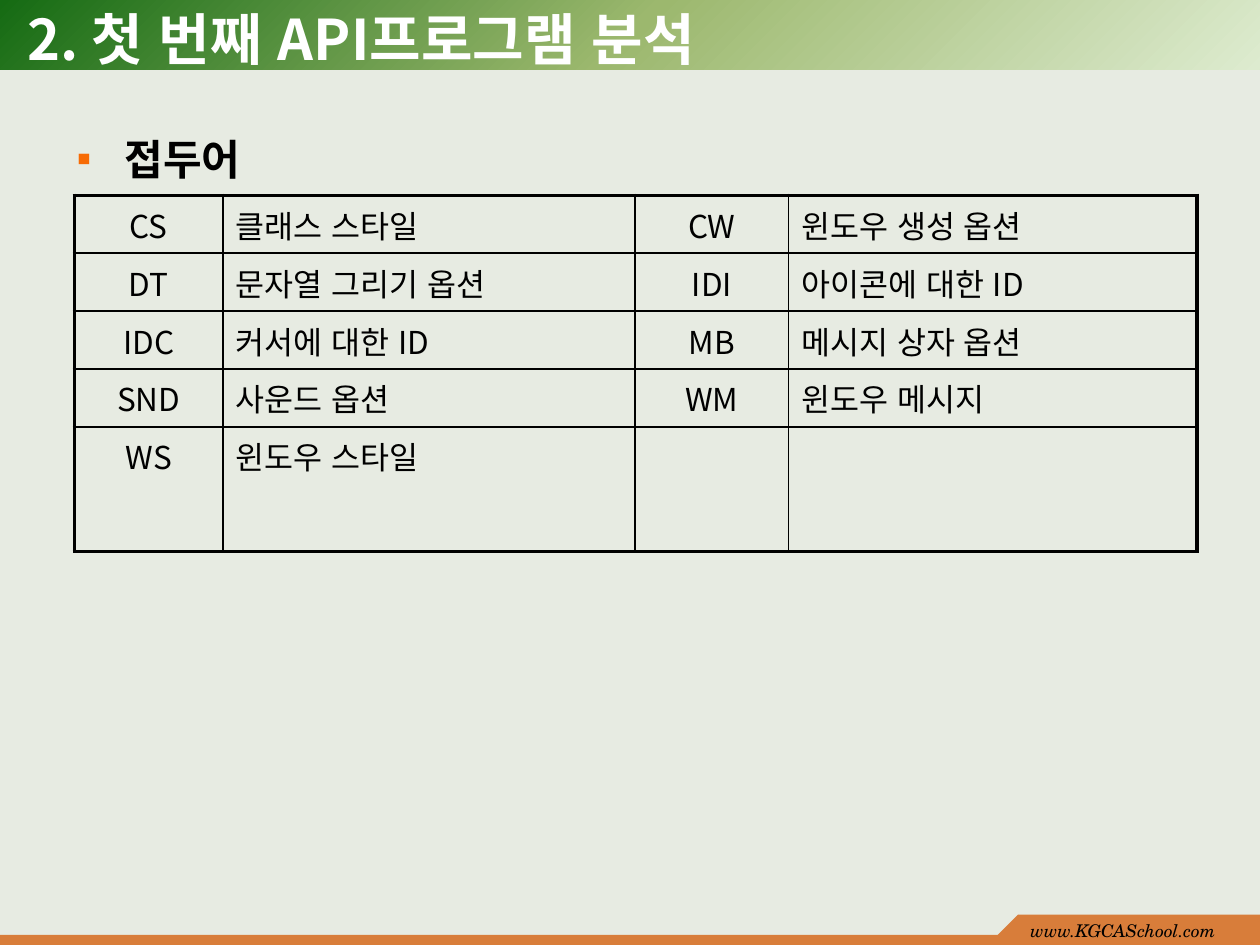
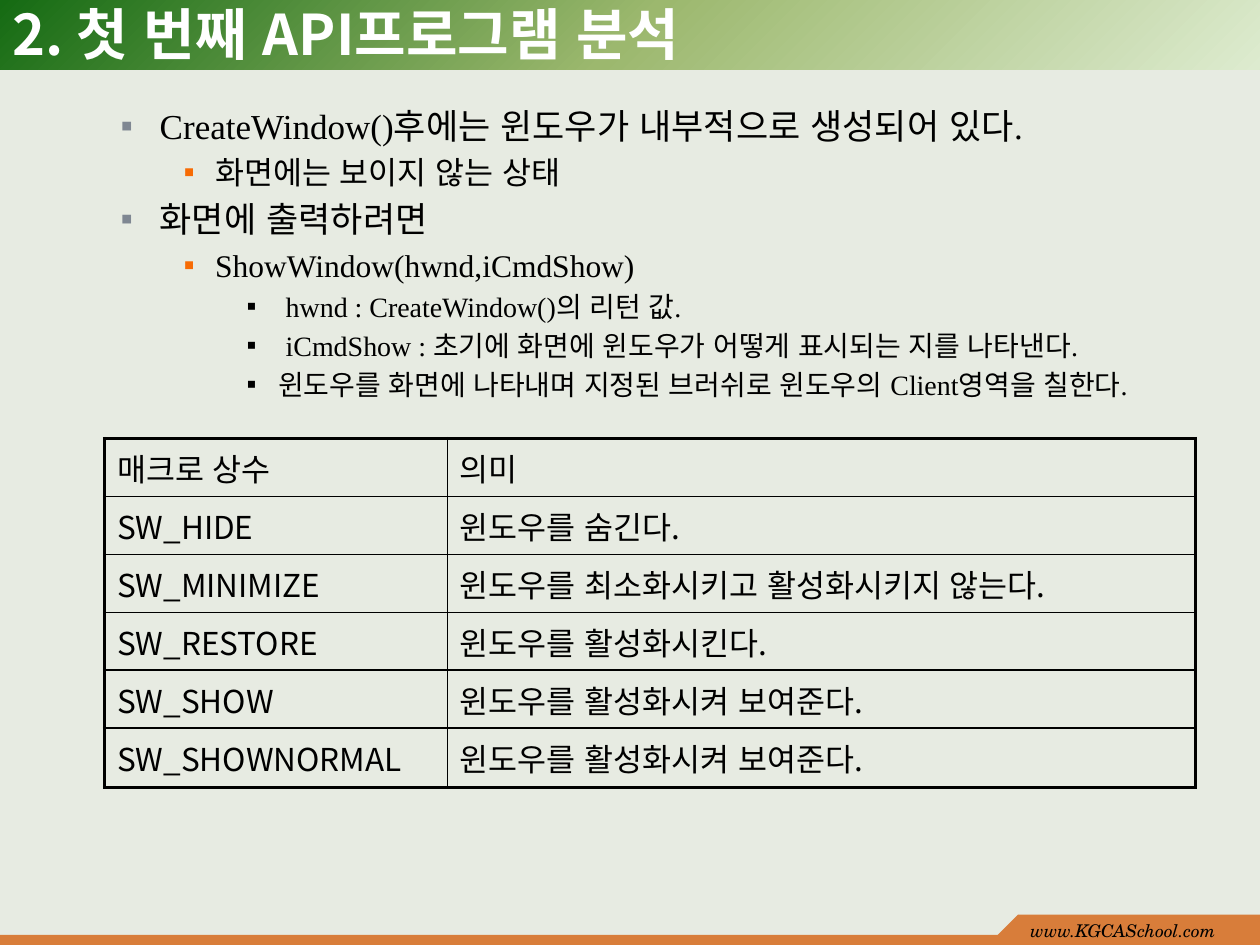
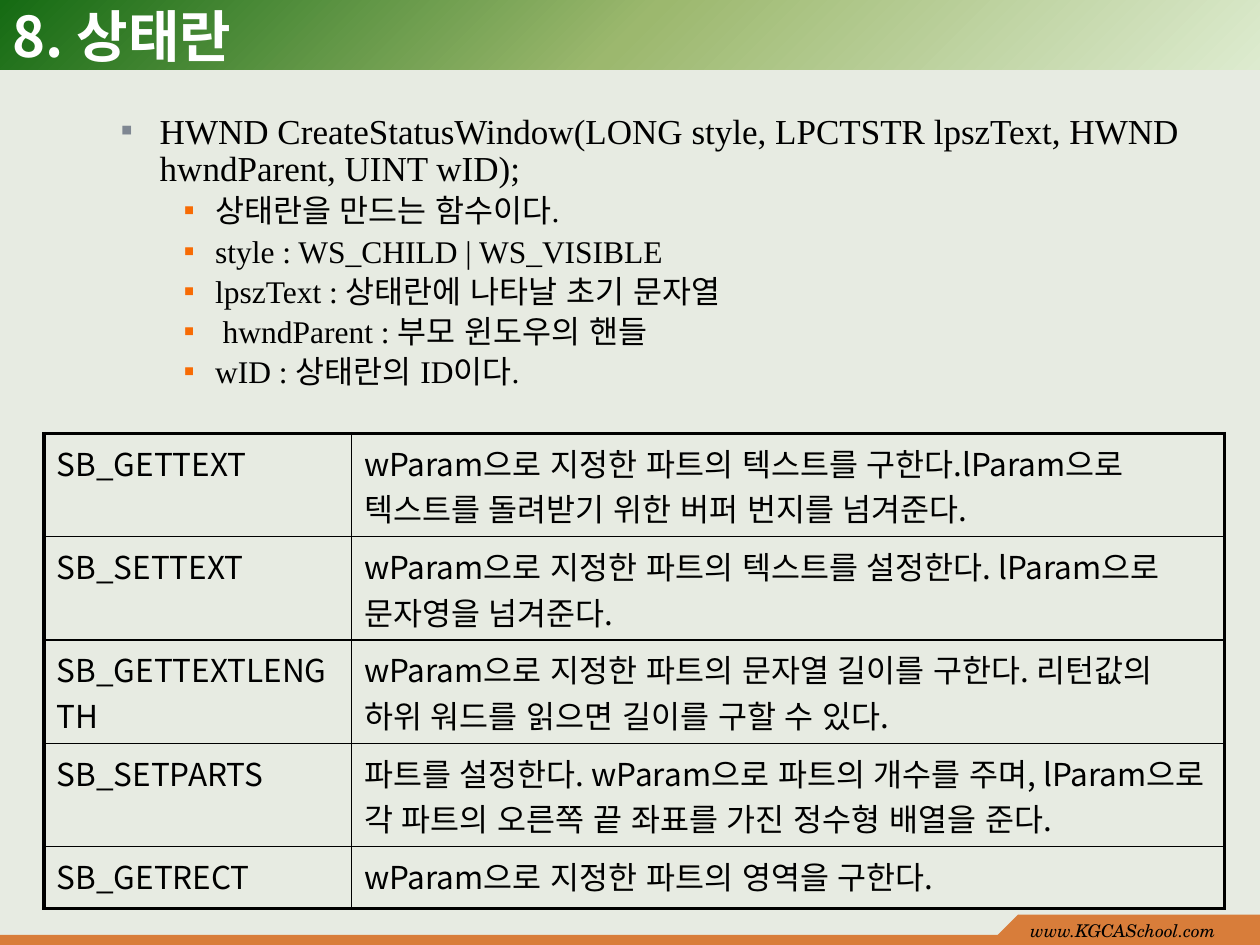
from lxml.etree import SubElement
from pptx import Presentation
from pptx.dml.color import RGBColor
from pptx.enum.shapes import MSO_SHAPE
from pptx.enum.text import MSO_ANCHOR, MSO_AUTO_SIZE, PP_ALIGN
from pptx.oxml import parse_xml
from pptx.oxml.ns import nsdecls, qn
from pptx.util import Inches, Pt

WIDTH, HEIGHT = 10, 7.5
BAND_HEIGHT = 0.55
TAB_LEFT, TAB_TOP, TAB_HEIGHT = 8.08, 7.26, 0.17
SANS, SERIF, SCHOOL = "Noto Sans CJK KR", "Times New Roman", "TeX Gyre Schola"
BLACK, WHITE, PAPER = "000000", "FFFFFF", "E7EBE2"
ORANGE, BRIGHT, SLATE = "D87D3A", "F76B04", "7F8792"
BAND_STOPS = [(0, "DDEBCF"), (50, "9CB86E"), (100, "156B13")]
FOOTER = "www.KGCASchool.com"
OUTER_LINE, INNER_LINE = 2.25, 1
LINE_PITCH = 1.2

LEVELS = {
    "heading": dict(size=24, left=0.38, hang=0.38, bullet=BRIGHT, bold=True),
    "point": dict(size=20, left=0.81, hang=0.31, bullet=SLATE),
    "detail": dict(size=18, left=1.25, hang=0.25, bullet=BRIGHT),
    "detail inset": dict(size=18, left=1.31, hang=0.31, bullet=BRIGHT),
    "note": dict(size=16, left=1.75, hang=0.25, bullet=BLACK),
    "note inset": dict(size=16, left=1.81, hang=0.31, bullet=BLACK),
}

PAGES = [
    dict(
        title="2. 첫 번째 API프로그램 분석",
        title_at=(0.12, 0, 9, 0.61),
        body_at=(0.51, 1.01, 4.42, 0.47),
        body=[("heading", "접두어")],
        table_at=(0.59, 1.55),
        columns=[1.18, 3.27, 1.22, 3.24],
        rows=[0.46] * 4 + [0.99],
        centred=(0, 2),
        cells=[
            ("CS", "클래스 스타일", "CW", "윈도우 생성 옵션"),
            ("DT", "문자열 그리기 옵션", "IDI", "아이콘에 대한 ID"),
            ("IDC", "커서에 대한 ID", "MB", "메시지 상자 옵션"),
            ("SND", "사운드 옵션", "WM", "윈도우 메시지"),
            ("WS", "윈도우 스타일", "", ""),
        ],
    ),
    dict(
        title="2. 첫 번째 API프로그램 분석",
        title_at=(0, 0.03, 9, 0.46),
        body_at=(0.36, 0.78, 9.37, 2.6),
        body=[
            ("point", "CreateWindow()후에는 윈도우가 내부적으로 생성되어 있다."),
            ("detail", "화면에는 보이지 않는 상태"),
            ("point", "화면에 출력하려면"),
            ("detail", "ShowWindow(hwnd,iCmdShow)"),
            ("note inset", "hwnd : CreateWindow()의 리턴 값."),
            ("note inset", "iCmdShow : 초기에 화면에 윈도우가 어떻게 표시되는 지를 나타낸다."),
            ("note", "윈도우를 화면에 나타내며 지정된 브러쉬로 윈도우의 Client영역을 칠한다."),
        ],
        table_at=(0.83, 3.48),
        columns=[2.72, 5.94],
        rows=[0.46] * 5 + [0.47],
        cells=[
            ("매크로 상수", "의미"),
            ("SW_HIDE", "윈도우를 숨긴다."),
            ("SW_MINIMIZE", "윈도우를 최소화시키고 활성화시키지 않는다."),
            ("SW_RESTORE", "윈도우를 활성화시킨다."),
            ("SW_SHOW", "윈도우를 활성화시켜 보여준다."),
            ("SW_SHOWNORMAL", "윈도우를 활성화시켜 보여준다."),
        ],
    ),
    dict(
        title="8. 상태란",
        title_at=(0, 0.03, 9, 0.49),
        body_at=(0.36, 0.85, 9.13, 2.2),
        line_spacing=0.9,
        body=[
            ("point", "HWND CreateStatusWindow(LONG style, LPCTSTR lpszText, "
                      "HWND hwndParent, UINT wID);"),
            ("detail", "상태란을 만드는 함수이다."),
            ("detail", "style : WS_CHILD | WS_VISIBLE"),
            ("detail", "lpszText : 상태란에 나타날 초기 문자열"),
            ("detail inset", "hwndParent : 부모 윈도우의 핸들"),
            ("detail", "wID : 상태란의 ID이다."),
        ],
        table_at=(0.35, 3.44),
        columns=[2.44, 6.93],
        rows=[0.82] * 4 + [0.49],
        cells=[
            ("SB_GETTEXT", "wParam으로 지정한 파트의 텍스트를 구한다.lParam으로 "
                           "텍스트를 돌려받기 위한 버퍼 번지를 넘겨준다."),
            ("SB_SETTEXT", "wParam으로 지정한 파트의 텍스트를 설정한다. lParam으로 "
                           "문자영을 넘겨준다."),
            ("SB_GETTEXTLENGTH", "wParam으로 지정한 파트의 문자열 길이를 구한다. "
                                 "리턴값의 하위 워드를 읽으면 길이를 구할 수 있다."),
            ("SB_SETPARTS", "파트를 설정한다. wParam으로 파트의 개수를 주며, lParam으로 "
                            "각 파트의 오른쪽 끝 좌표를 가진 정수형 배열을 준다."),
            ("SB_GETRECT", "wParam으로 지정한 파트의 영역을 구한다."),
        ],
    ),
]


def color(value):
    return RGBColor.from_string(value)


def inches(values):
    return [Inches(value) for value in values]


def add_span(para, text, size, font, ink=BLACK, bold=False, italic=False):
    span = para.add_run()
    span.text = text
    span.font.size = Pt(size)
    span.font.name = font
    span.font.bold = bold
    span.font.italic = italic
    span.font.color.rgb = color(ink)
    properties = span.font._element
    properties.set("lang", "ko-KR")
    properties.set("kern", "0")
    SubElement(properties, qn("a:ea")).set("typeface", SANS)


def finish(shape, fill=None):
    if fill:
        shape.fill.solid()
        shape.fill.fore_color.rgb = color(fill)
    shape.line.fill.background()
    shape.shadow.inherit = False


def add_bar(page, at, fill=None):
    bar = page.shapes.add_shape(MSO_SHAPE.RECTANGLE, *inches(at))
    finish(bar, fill)
    return bar


def add_text_box(page, at):
    box = page.shapes.add_textbox(*inches(at))
    box.text_frame.word_wrap = True
    return box.text_frame


def add_band(page):
    band = add_bar(page, (0, 0, WIDTH, BAND_HEIGHT))
    stops = "".join(
        f'<a:gs pos="{place * 1000}"><a:srgbClr val="{value}"/></a:gs>'
        for place, value in BAND_STOPS)
    gradient = parse_xml(
        f'<a:gradFill {nsdecls("a")} rotWithShape="1"><a:gsLst>{stops}</a:gsLst>'
        '<a:path path="circle"><a:fillToRect l="100000" t="100000"/></a:path></a:gradFill>')
    band._element.spPr.find(qn("a:prstGeom")).addnext(gradient)


def add_footer(page):
    tab_width = WIDTH - TAB_LEFT
    add_bar(page, (0, 7.42, WIDTH, HEIGHT - 7.42), ORANGE)
    add_bar(page, (TAB_LEFT, TAB_TOP, tab_width, TAB_HEIGHT), ORANGE)
    tip, left, top, bottom = inches(
        (TAB_LEFT - TAB_HEIGHT, TAB_LEFT, TAB_TOP, TAB_TOP + TAB_HEIGHT))
    outline = page.shapes.build_freeform(tip, bottom)
    outline.add_line_segments([(left, bottom), (left, top)])
    finish(outline.convert_to_shape(), ORANGE)
    frame = add_text_box(page, (TAB_LEFT, 7.25, tab_width, 0.25))
    add_span(frame.paragraphs[0], FOOTER, 10, SCHOOL, italic=True)


def add_title(page, text, at):
    title = page.shapes.title
    title.left, title.top, title.width, title.height = inches(at)
    page.shapes._spTree.append(title._element)
    frame = title.text_frame
    frame.auto_size = MSO_AUTO_SIZE.NONE
    frame.vertical_anchor = MSO_ANCHOR.MIDDLE
    para = frame.paragraphs[0]
    para.alignment = PP_ALIGN.LEFT
    add_span(para, text, 32, SANS, WHITE, bold=True)


def add_bullet(para, left, hang, ink):
    properties = para._p.get_or_add_pPr()
    properties.set("marL", str(Inches(left)))
    properties.set("indent", str(-Inches(hang)))
    tint = SubElement(properties, qn("a:buClr"))
    SubElement(tint, qn("a:srgbClr")).set("val", ink)
    SubElement(properties, qn("a:buFont")).set("typeface", SERIF)
    SubElement(properties, qn("a:buChar")).set("char", "▪")


def add_body(page, lines, at, line_spacing):
    frame = add_text_box(page, at)
    for index, (level, text) in enumerate(lines):
        style = LEVELS[level]
        size = style["size"]
        para = frame.add_paragraph() if index else frame.paragraphs[0]
        add_bullet(para, style["left"], style["hang"], style["bullet"])
        para.line_spacing = Pt(size * LINE_PITCH * line_spacing)
        if index:
            para.space_before = Pt(size * 0.2)
        add_span(para, text, size, SERIF, bold=style.get("bold", False))


def set_borders(cell, edges):
    properties = cell._tc.get_or_add_tcPr()
    for side, is_outer in edges.items():
        points = OUTER_LINE if is_outer else INNER_LINE
        line = SubElement(properties, qn(f"a:ln{side}"), w=str(Pt(points)))
        fill = SubElement(line, qn("a:solidFill"))
        SubElement(fill, qn("a:srgbClr")).set("val", BLACK)


def add_grid(page, cells, at, columns, rows, centred):
    frame = page.shapes.add_table(
        len(rows), len(columns), *inches((*at, sum(columns), sum(rows))))
    table = frame.table
    table.first_row = table.horz_banding = False
    for column, width in zip(table.columns, columns):
        column.width = Inches(width)
    for row, height in zip(table.rows, rows):
        row.height = Inches(height)
    for y, texts in enumerate(cells):
        for x, text in enumerate(texts):
            cell = table.cell(y, x)
            set_borders(cell, dict(L=x == 0, R=x == len(columns) - 1,
                                   T=y == 0, B=y == len(rows) - 1))
            cell.fill.background()
            para = cell.text_frame.paragraphs[0]
            para.alignment = PP_ALIGN.CENTER if x in centred else PP_ALIGN.LEFT
            if text:
                add_span(para, text, 18, SANS)


def main():
    deck = Presentation()
    deck.slide_width, deck.slide_height = Inches(WIDTH), Inches(HEIGHT)
    backdrop = deck.slide_master.background.fill
    backdrop.solid()
    backdrop.fore_color.rgb = color(PAPER)
    for content in PAGES:
        page = deck.slides.add_slide(deck.slide_layouts[5])
        add_band(page)
        add_footer(page)
        add_title(page, content["title"], content["title_at"])
        add_body(page, content["body"], content["body_at"], content.get("line_spacing", 1))
        add_grid(page, content["cells"], content["table_at"], content["columns"],
                 content["rows"], content.get("centred", ()))
    deck.save("out.pptx")


if __name__ == "__main__":
    main()
